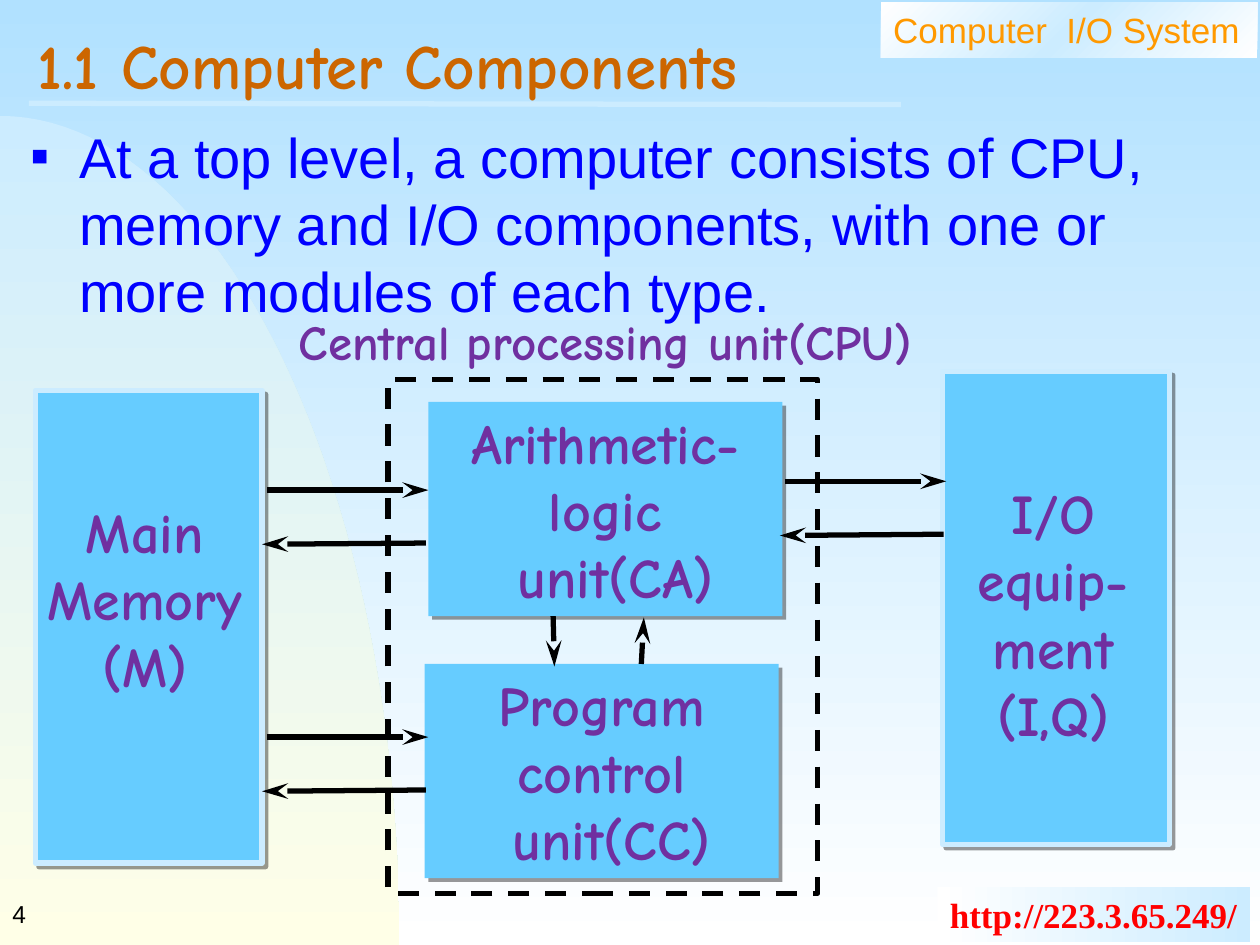
from copy import deepcopy
from math import cos, pi, sin

from lxml import etree
from pptx import Presentation
from pptx.dml.color import RGBColor
from pptx.enum.dml import MSO_LINE
from pptx.enum.shapes import MSO_CONNECTOR, MSO_SHAPE
from pptx.enum.text import MSO_ANCHOR, MSO_AUTO_SIZE, PP_ALIGN
from pptx.oxml.ns import qn
from pptx.util import Inches, Pt

RECT = MSO_SHAPE.RECTANGLE
STRAIGHT = MSO_CONNECTOR.STRAIGHT
DASH = MSO_LINE.DASH
LEFT, CENTER = PP_ALIGN.LEFT, PP_ALIGN.CENTER
TOP, MIDDLE = MSO_ANCHOR.TOP, MSO_ANCHOR.MIDDLE
FIXED = MSO_AUTO_SIZE.NONE

SKY = RGBColor(0xB1, 0xE1, 0xFF)
PALE = RGBColor(0xCC, 0xEC, 0xFF)
CREAM = RGBColor(0xFF, 0xFF, 0xE7)
WHITE = RGBColor(0xFF, 0xFF, 0xFF)
BLACK = RGBColor(0, 0, 0)
AZURE = RGBColor(0x66, 0xCC, 0xFF)
PURPLE = RGBColor(0x70, 0x30, 0xA0)
BLUE = RGBColor(0, 0, 0xFF)
RED = RGBColor(0xFF, 0, 0)
ORANGE = RGBColor(0xFF, 0x99, 0)
BROWN = RGBColor(0xCC, 0x66, 0)

ARIAL, COMIC, TIMES = "Arial", "Comic Neue", "Times New Roman"


def add_node(parent, tag, **attrs):
    return etree.SubElement(parent, qn(tag), {k: str(v) for k, v in attrs.items()})


def blend(fill, colors, angle):
    fill.gradient()
    fill.gradient_angle = angle
    first = fill.gradient_stops[0]._gs
    for _ in colors[2:]:
        first.addnext(deepcopy(first))
    for i, (stop, color) in enumerate(zip(fill.gradient_stops, colors)):
        stop.color.rgb = color
        stop.position = i / (len(colors) - 1)


def add_bullet(para, color):
    props = para._p.get_or_add_pPr()
    props.set("marL", str(Inches(0.38)))
    props.set("indent", str(-Inches(0.38)))
    add_node(add_node(props, "a:buClr"), "a:srgbClr", val=color)
    add_node(props, "a:buSzPct", val=50000)
    add_node(props, "a:buFont", typeface=ARIAL)
    add_node(props, "a:buChar", char="■")


def write(shape, lines, size, font, color, bold=False, align=LEFT, anchor=TOP,
          wrap=True, space=None, bullet=False):
    frame = shape.text_frame
    frame.text = "\n".join(lines)
    frame.auto_size = FIXED
    frame.word_wrap = wrap
    frame.vertical_anchor = anchor
    for para in frame.paragraphs:
        if bullet:
            add_bullet(para, color)
        para.alignment = align
        para.line_spacing = space or Pt(size * 1.2)
        para.font.size = Pt(size)
        para.font.name = font
        para.font.bold = bold
        para.font.color.rgb = color


def add_text(slide, box, lines, size, font, color, **style):
    shape = slide.shapes.add_textbox(*map(Inches, box))
    write(shape, lines, size, font, color, **style)


def add_rect(slide, box):
    shape = slide.shapes.add_shape(RECT, *map(Inches, box))
    shape.shadow.inherit = False
    shape.fill.background()
    shape.line.fill.background()
    return shape


def add_edge(shape, color):
    shape.line.color.rgb = color
    shape.line.width = Pt(3)


def add_block(slide, box):
    shape = add_rect(slide, box)
    shape.fill.solid()
    shape.fill.fore_color.rgb = AZURE
    glow = shape._element.spPr.find(qn("a:effectLst"))
    shade = add_node(glow, "a:outerShdw", blurRad=0, dist=Pt(3), dir=2700000,
                     algn="ctr", rotWithShape=0)
    tint = add_node(shade, "a:srgbClr", val=BLACK)
    add_node(tint, "a:alpha", val=40000)
    return shape


def add_line(slide, start, end, color):
    line = slide.shapes.add_connector(STRAIGHT, *map(Inches, start + end))
    add_edge(line, color)
    add_node(line._element.spPr, "a:effectLst")
    return line


def add_arrow(slide, start, end):
    line = add_line(slide, start, end, BLACK)
    edge = line._element.spPr.find(qn("a:ln"))
    add_node(edge, "a:tailEnd", type="stealth", w="med", len="lg")


def add_curve(slide):
    wide, high, base, steps = 3.17, 6.58, 7.5, 48
    turns = [i * pi / 2 / steps for i in range(steps + 1)]
    points = [(Inches(wide * sin(t)), Inches(base - high * cos(t))) for t in turns]
    pen = slide.shapes.build_freeform(*points[0])
    pen.add_line_segments(points[1:] + [(0, Inches(base))], close=True)
    shape = pen.convert_to_shape()
    shape.shadow.inherit = False
    shape.line.fill.background()
    blend(shape.fill, [PALE, CREAM], 270)


def add_frame(slide):
    blend(slide.background.fill, [SKY, WHITE], 270)
    add_curve(slide)
    head = add_rect(slide, (6.99, 0.02, 2.99, 0.44))
    blend(head.fill, [WHITE, PALE, WHITE], 315)
    write(head, ["Computer  I/O System"], 20, ARIAL, ORANGE)
    foot = add_rect(slide, (7.44, 7.04, 2.48, 0.44))
    blend(foot.fill, [WHITE, PALE], 0)
    write(foot, ["http://223.3.65.249/"], 20, TIMES, RED, bold=True, wrap=False)
    add_line(slide, (0.23, 0.82), (7.15, 0.83), PALE)
    add_text(slide, (0, 7, 2.08, 0.5), ["4"], 14, ARIAL, BLACK, anchor=MIDDLE)


def add_title(slide):
    title = slide.shapes.title
    title.left, title.top, title.width, title.height = map(
        Inches, (0.2, 0.2, 9.55, 0.77))
    write(title, ["1.1 Computer Components"], 36, COMIC, BROWN, bold=True,
          anchor=MIDDLE, space=0.7)


def add_point(slide):
    text = ("At a top level, a computer consists of CPU, memory and I/O "
            "components, with one or more modules of each type.")
    add_text(slide, (0.15, 0.92, 9.67, 6), [text], 32, ARIAL, BLUE, bullet=True)


def add_chart(slide):
    label = {"font": COMIC, "color": PURPLE, "bold": True, "align": CENTER}
    sides = [
        (0.28, 3.1, 1.74, 1.7, ["Main", "Memory", "(M)"], False),
        (7.48, 2.95, 1.76, 2.24, ["I/O equip-ment", "(I,Q)"], True),
    ]
    for left, top, wide, high, lines, wrap in sides:
        add_edge(add_block(slide, (left, top, 1.8, 3.75)), PALE)
        add_text(slide, (left, top + 0.8, wide, high), lines, 32, wrap=wrap, **label)
    units = [
        (3.4, 3.19, ["Arithmetic-logic", " unit(CA)"]),
        (3.37, 5.27, ["Program", "control", " unit(CC)"]),
    ]
    for left, top, lines in units:
        write(add_block(slide, (left, top, 2.81, 1.7)), lines, 32, **label)
    border = add_rect(slide, (3.08, 3.01, 3.41, 4.08))
    add_edge(border, BLACK)
    border.line.dash_style = DASH
    add_text(slide, (0.95, 2.42, 7.71, 0.57), ["Central processing unit(CPU)"],
             28, **label)
    for left, top in [(2.12, 3.89), (2.12, 5.85), (6.23, 3.82)]:
        add_arrow(slide, (left, top), (left + 1.28, top))
        add_arrow(slide, (left + 1.26, top + 0.42), (left - 0.04, top + 0.43))
    add_arrow(slide, (4.39, 4.89), (4.4, 5.29))
    add_arrow(slide, (5.09, 5.27), (5.11, 4.9))


def main():
    deck = Presentation()
    deck.slide_width, deck.slide_height = Inches(10), Inches(7.5)
    slide = deck.slides.add_slide(deck.slide_layouts[5])
    add_frame(slide)
    add_title(slide)
    add_point(slide)
    add_chart(slide)
    deck.save("out.pptx")


if __name__ == "__main__":
    main()
